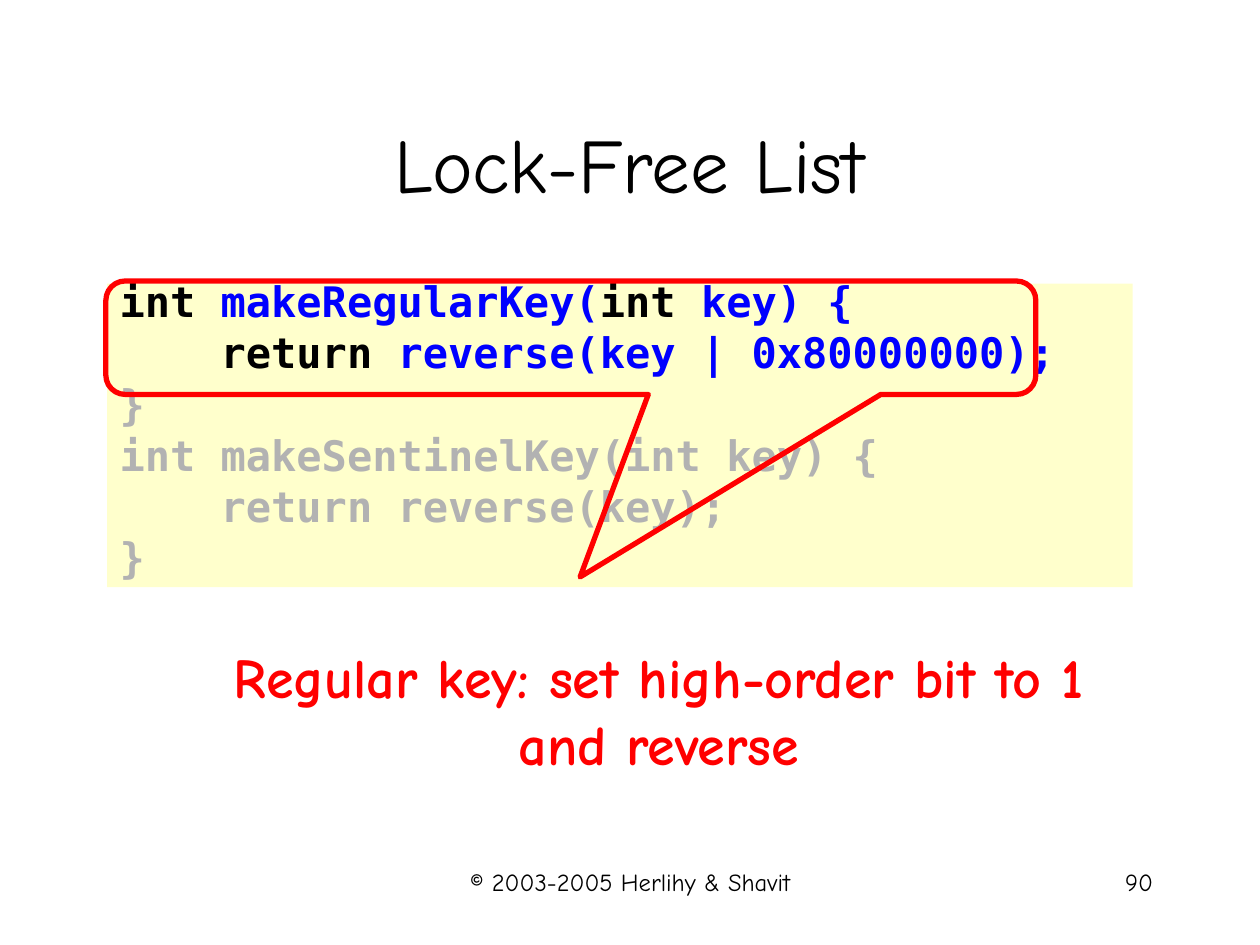
"""Build the Lock-Free List slide with key-making code and a callout."""
from pptx import Presentation
from pptx.dml.color import RGBColor
from pptx.enum.shapes import MSO_SHAPE
from pptx.enum.text import MSO_ANCHOR, PP_ALIGN
from pptx.util import Pt

RECT = MSO_SHAPE.RECTANGLE
CALLOUT = MSO_SHAPE.ROUNDED_RECTANGULAR_CALLOUT
TOP, MIDDLE = MSO_ANCHOR.TOP, MSO_ANCHOR.MIDDLE
LEFT, CENTER, RIGHT = PP_ALIGN.LEFT, PP_ALIGN.CENTER, PP_ALIGN.RIGHT
TITLE_ONLY = 5

COLORS = {
    "ink": "000000",
    "code": "0000FF",
    "dim": "B2B2B2",
    "paper": "FFFFCC",
    "accent": "FF0000",
}

CODE = [
    [("int", "ink"), (" makeRegularKey(", "code"), ("int", "ink"), (" key) {", "code")],
    [("    ", "code"), ("return", "ink"), (" reverse(key | 0x80000000);", "code")],
    [("}", "dim")],
    [("int makeSentinelKey(int key) {", "dim")],
    [("    return reverse(key);", "dim")],
    [("}", "dim")],
]


class Deck:
    """Holds the style and the current slide."""

    text_font = "Comic Neue"
    code_font = "DejaVu Sans Mono"

    def __init__(self, prs):
        self.s = prs.slides.add_slide(prs.slide_layouts[TITLE_ONLY])

    def color(self, name):
        return RGBColor.from_string(COLORS[name])

    def style(self, r, font, size, color, bold=False):
        r.font.name = font
        r.font.size = Pt(size)
        r.font.bold = bold
        r.font.color.rgb = self.color(color)

    def set_text(self, tf, text, size, align, color="ink", bold=False, anchor=TOP):
        tf.word_wrap = True
        tf.vertical_anchor = anchor
        tf.text = text
        p = tf.paragraphs[0]
        p.alignment = align
        self.style(p.runs[0], self.text_font, size, color, bold)

    def title(self, text, x, y, w, h):
        sp = self.s.shapes.title
        sp.left, sp.top, sp.width, sp.height = Pt(x), Pt(y), Pt(w), Pt(h)
        self.set_text(sp.text_frame, text, 44, CENTER, anchor=MIDDLE)

    def text(self, text, x, y, w, h, size, align, color="ink", bold=False):
        sp = self.s.shapes.add_textbox(Pt(x), Pt(y), Pt(w), Pt(h))
        self.set_text(sp.text_frame, text, size, align, color, bold)

    def shape(self, kind, x, y, w, h):
        sp = self.s.shapes.add_shape(kind, Pt(x), Pt(y), Pt(w), Pt(h))
        sp.shadow.inherit = False
        return sp

    def code(self, lines, x, y, w, h):
        sp = self.shape(RECT, x, y, w, h)
        sp.fill.solid()
        sp.fill.fore_color.rgb = self.color("paper")
        sp.line.fill.background()
        tf = sp.text_frame
        tf.word_wrap = True
        tf.vertical_anchor = TOP
        for i, line in enumerate(lines):
            p = tf.add_paragraph() if i else tf.paragraphs[0]
            p.alignment = LEFT
            p.line_spacing = 0.7
            if i:
                p.space_before = Pt(9)
            for text, color in line:
                r = p.add_run()
                r.text = text
                self.style(r, self.code_font, 24, color, True)

    def callout(self, x, y, w, h, adjustments):
        sp = self.shape(CALLOUT, x, y, w, h)
        for i, value in enumerate(adjustments):
            sp.adjustments[i] = value
        sp.fill.background()
        sp.line.color.rgb = self.color("accent")
        sp.line.width = Pt(3)


def main():
    prs = Presentation()
    prs.slide_width, prs.slide_height = Pt(720), Pt(540)
    deck = Deck(prs)
    deck.title("Lock-Free List", 54, 48, 612, 90)
    deck.code(CODE, 61.2, 162, 586, 173.5)
    deck.text("Regular key: set high-order bit to 1 and reverse",
              121.7, 363.6, 509.8, 84.2, 32, CENTER, "accent", True)
    deck.callout(60.5, 160.6, 531.4, 64.8, (0.01, 2.11, 0.17))
    deck.text("© 2003-2005 Herlihy & Shavit", 246.2, 492, 228.2, 36, 14, CENTER)
    deck.text("90", 516, 492, 150, 36, 14, RIGHT)
    prs.save("out.pptx")


if __name__ == "__main__":
    main()
